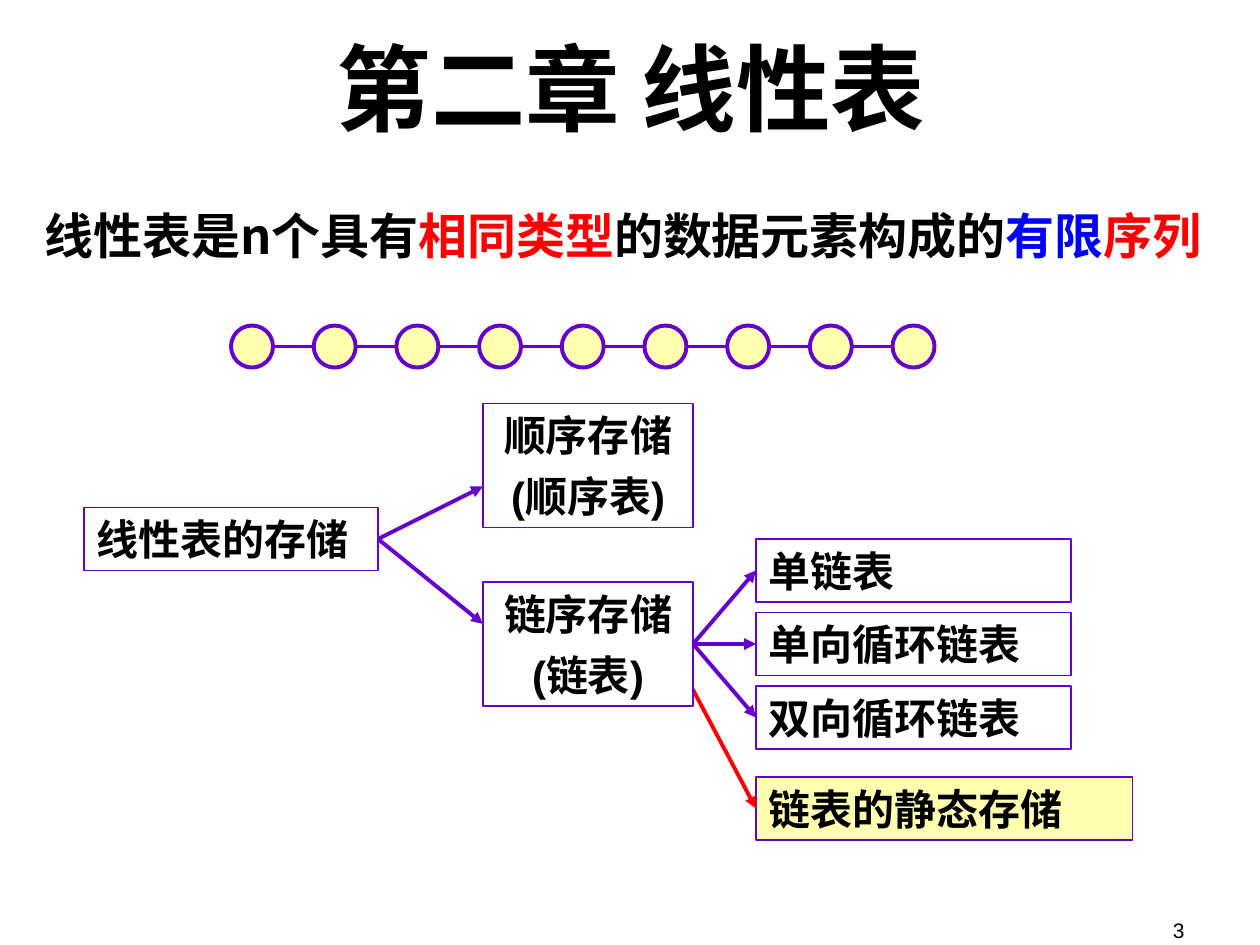
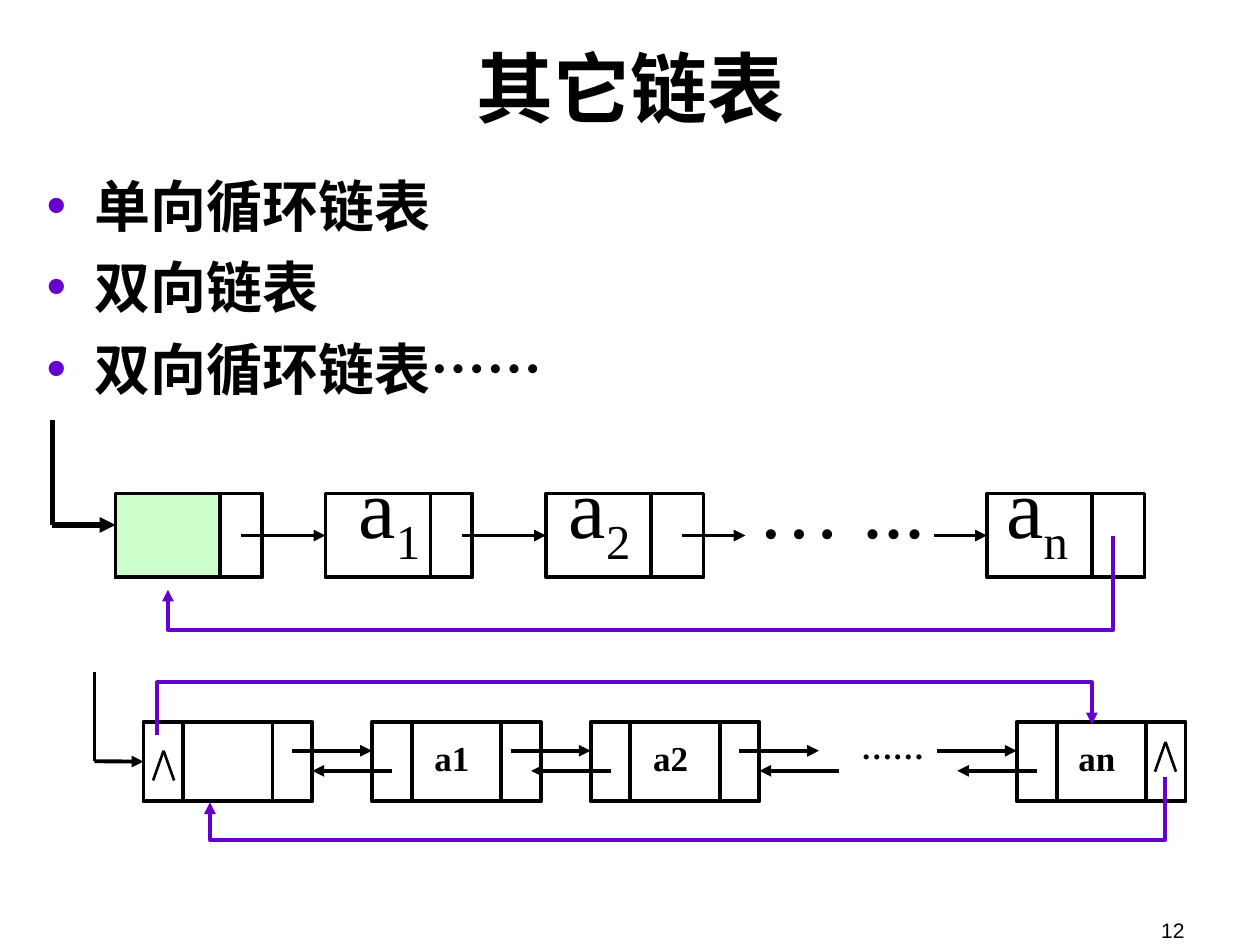
from lxml import etree
from pptx import Presentation
from pptx.dml.color import RGBColor
from pptx.enum.shapes import MSO_CONNECTOR, MSO_SHAPE
from pptx.enum.text import MSO_ANCHOR, MSO_AUTO_SIZE, PP_ALIGN
from pptx.oxml.ns import qn
from pptx.util import Pt

STRAIGHT = MSO_CONNECTOR.STRAIGHT
RECT, OVAL = MSO_SHAPE.RECTANGLE, MSO_SHAPE.OVAL
TOP, MIDDLE, BOTTOM = MSO_ANCHOR.TOP, MSO_ANCHOR.MIDDLE, MSO_ANCHOR.BOTTOM
LEFT, CENTER, RIGHT = PP_ALIGN.LEFT, PP_ALIGN.CENTER, PP_ALIGN.RIGHT
NO_FIT = MSO_AUTO_SIZE.NONE
LEFT_SIDE, RIGHT_SIDE = 1, 3
COLORS = {"black": "000000", "white": "FFFFFF", "purple": "6600CC", "red": "FF0000",
          "blue": "0000FF", "yellow": "FFFFAF", "green": "CCFFCC"}
SERIF, SANS, CJK = "Times New Roman", "Arial", "Noto Sans CJK SC"
LEADING = 1.2


def rgb(name):
    """Return the named colour."""
    return RGBColor.from_string(COLORS[name])


class Sketch:
    """Holds the deck style and the current slide."""

    def __init__(self):
        """Start an empty deck of 10 by 7.5 inches."""
        self.deck = Presentation()
        self.deck.slide_width, self.deck.slide_height = Pt(720), Pt(540)

    def new_page(self, layout, title, size, number):
        """Add a slide with its title and page number."""
        self.page = self.deck.slides.add_slide(self.deck.slide_layouts[layout])
        self.place(self.page.shapes.title, 36.5, 9.5, 648, 80.5)
        self.set_text(self.page.shapes.title, [title], size, SERIF, True, CENTER, MIDDLE)
        self.label([number], 516, 506, 168, 36, 12, SANS, False, RIGHT, BOTTOM)

    def place(self, shape, left, top, width, height):
        """Move and size a shape."""
        shape.left, shape.top = Pt(left), Pt(top)
        shape.width, shape.height = Pt(width), Pt(height)

    def set_text(self, shape, lines, size, face, bold=True, align=LEFT, anchor=TOP,
                 gap=0, bullet=None, tabs=()):
        """Fill a shape with lines, each a string or a list of (text, colour, baseline)."""
        frame = shape.text_frame
        frame.word_wrap, frame.auto_size, frame.vertical_anchor = True, NO_FIT, anchor
        for index, line in enumerate(lines):
            para = frame.add_paragraph() if index else frame.paragraphs[0]
            props = para._p.get_or_add_pPr()
            if bullet:
                mark = etree.SubElement(props, qn("a:buClr"))
                etree.SubElement(mark, qn("a:srgbClr"), val=COLORS[bullet])
            if tabs:
                stops = etree.SubElement(props, qn("a:tabLst"))
                for stop in tabs:
                    etree.SubElement(stops, qn("a:tab"), pos=str(Pt(stop)), algn="l")
            para.alignment = align
            para.line_spacing = Pt(size * LEADING)
            para.space_before = Pt(gap if index else 0)
            para.font.size, para.font.bold, para.font.name = Pt(size), bold, face
            para.font.color.rgb = rgb("black")
            etree.SubElement(props.find(qn("a:defRPr")), qn("a:ea"), typeface=CJK)
            for text, color, baseline in [(line, None, 0)] if isinstance(line, str) else line:
                span = para.add_run()
                span.text = text
                if color:
                    span.font.color.rgb = rgb(color)
                if baseline:
                    span._r.get_or_add_rPr().set("baseline", str(baseline))

    def label(self, lines, left, top, width, height, size, face, bold=True,
              align=CENTER, anchor=TOP, tabs=()):
        """Add a text box."""
        box = self.page.shapes.add_textbox(Pt(left), Pt(top), Pt(width), Pt(height))
        self.set_text(box, lines, size, face, bold, align, anchor, tabs=tabs)

    def bullets(self, lines, left, top, width, height):
        """Fill the body placeholder with a list."""
        body = self.page.placeholders[1]
        self.place(body, left, top, width, height)
        self.set_text(body, lines, 32, SERIF, gap=8, bullet="purple")

    def outline(self, shape, fill, color, weight):
        """Set the fill, line and missing shadow of a shape."""
        shape.shadow.inherit = False
        if fill:
            shape.fill.solid()
            shape.fill.fore_color.rgb = rgb(fill)
        else:
            shape.fill.background()
        shape.line.color.rgb, shape.line.width = rgb(color), Pt(weight)

    def shape(self, left, top, width, height, kind=RECT, fill=None, color="black", weight=2.25):
        """Add an outlined preset shape."""
        shape = self.page.shapes.add_shape(kind, Pt(left), Pt(top), Pt(width), Pt(height))
        self.outline(shape, fill, color, weight)
        return shape

    def topic(self, lines, left, top, width, height=36, fill=None, align=LEFT):
        """Add a framed topic."""
        box = self.shape(left, top, width, height, fill=fill, color="purple", weight=0.75)
        self.set_text(box, lines, 24, SANS, align=align, gap=6)
        return box

    def point(self, line):
        """Put an arrowhead at the end of a line."""
        etree.SubElement(line.line._get_or_add_ln(), qn("a:tailEnd"), type="triangle")

    def line(self, start, end, color="black", weight=2.25, arrow=False, source=None, target=None):
        """Add a straight line, joined to a source's right or a target's left side."""
        line = self.page.shapes.add_connector(STRAIGHT, *map(Pt, start + end))
        line.line.color.rgb, line.line.width = rgb(color), Pt(weight)
        etree.SubElement(line._element.spPr, qn("a:effectLst"))
        if source:
            line.begin_connect(source, RIGHT_SIDE)
        if target:
            line.end_connect(target, LEFT_SIDE)
        if arrow:
            self.point(line)

    def bent_arrow(self, *corners):
        """Add an arrow through the given corners."""
        corners = [(Pt(x), Pt(y)) for x, y in corners]
        builder = self.page.shapes.build_freeform(*corners[0], scale=1.0)
        builder.add_line_segments(corners[1:], close=False)
        bend = builder.convert_to_shape()
        self.outline(bend, None, "purple", 2.25)
        self.point(bend)


def chapter_page(sketch):
    """Build the chapter overview."""
    sketch.new_page(5, "第二章 线性表", 54, "3")
    definition = [("线性表是n个具有", None, 0), ("相同类型", "red", 0),
                  ("的数据元素构成的", None, 0), ("有限", "blue", 0), ("序列", "red", 0)]
    sketch.label([definition], 12, 114, 688, 41, 28, CJK)

    sketch.line((150, 198), (522, 198), "purple")
    for index in range(9):
        sketch.shape(132 + 47.25 * index, 186, 24, 24, OVAL, "yellow", "purple")

    static = sketch.topic(["链表的静态存储"], 432, 444, 215, fill="yellow")
    sketch.line((392.5, 387.5), (432, 462), "red", arrow=True, target=static)
    storage = sketch.topic(["线性表的存储"], 48, 290, 168)
    linked = sketch.topic(["链序存储", "(链表)"], 276, 332.5, 120, 71, "white", CENTER)
    sketch.topic(["顺序存储", "(顺序表)"], 276, 230.5, 120, 71, align=CENTER)
    for height in (278, 356.5):
        sketch.line((216, 308), (276, height), "purple", arrow=True, source=storage)
    for index, name in enumerate(["单链表", "单向循环链表", "双向循环链表"]):
        top = 308 + 42 * index
        variant = sketch.topic([name], 432, top, 180)
        sketch.line((396, 368), (432, top + 18), "purple", arrow=True,
                    source=linked, target=variant)


def circular_list(sketch):
    """Draw the singly linked circular list."""
    top, height, middle = 282, 48, 306
    sub = -25000
    elements = [("\ta", None, 0), ("1", None, sub), ("\ta", None, 0), ("2", None, sub),
                ("\t… ...\ta", None, 0), ("n", None, sub)]
    sketch.label([elements], 162, 264, 546, 138, 48, SERIF, False, LEFT,
                 tabs=(36, 156, 264, 406))
    nodes = []
    for left, width in ((66, 84), (186, 84), (312, 90), (564, 90)):
        nodes.append(sketch.shape(left, top, width, height))
        sketch.line((left + 60, top), (left + 60, top + height))
    for start, end, target in ((138, 186, nodes[1]), (264, 312, nodes[2]),
                               (390, 426, None), (534, 564, nodes[3])):
        sketch.line((start, middle), (end, middle), arrow=True, target=target)
    sketch.line((30, 240), (30, 300), weight=3)
    sketch.line((30, 300), (66, 300), weight=3, arrow=True)
    sketch.shape(66, top, 60, height, fill="green")
    sketch.bent_arrow((636, middle), (636, 360), (96, 360), (96, 337))


def double_list(sketch):
    """Draw the doubly linked circular list."""
    top, height = 412.5, 45.5
    nodes = []
    for left, name in ((82, None), (212.5, "a1"), (337.5, "a2"), (581, "an")):
        nodes.append(sketch.shape(left, top, 96.5, height))
        sketch.shape(left + 22.75, top, 51, height)
        if name:
            sketch.label([name], left + 23, 417.5, 45.5, 31.5, 20, SERIF)
    for stop in (212.5, 337.5, 468, 581):
        sketch.line((stop - 45.5, 429), (stop, 429), arrow=True)
        sketch.line((stop + 11.5, 440.5), (stop - 34, 440.5), arrow=True)
    for x, y in ((93.5, 429), (666, 424)):
        for side in (-6, 6):
            sketch.line((x, y), (x + side, y + 17), weight=1.5)
    sketch.label(["……"], 484.5, 412.5, 51, 29, 18, SERIF)
    sketch.line((54, 435), (82, 435), arrow=True, target=nodes[0])
    sketch.line((54, 435), (54, 384))
    sketch.bent_arrow((90, 420), (90, 390), (624, 390), (624, 414))
    sketch.bent_arrow((666, 444), (666, 480), (120, 480), (120, 458.5))


def variants_page(sketch):
    """Build the page on other linked lists."""
    sketch.new_page(1, "其它链表", 44, "12")
    sketch.bullets(["单向循环链表", "双向链表", "双向循环链表……"], 19.5, 94.5, 680.5, 408)
    double_list(sketch)
    circular_list(sketch)


def main():
    """Build and save the deck."""
    sketch = Sketch()
    chapter_page(sketch)
    variants_page(sketch)
    sketch.deck.save("out.pptx")


if __name__ == "__main__":
    main()
